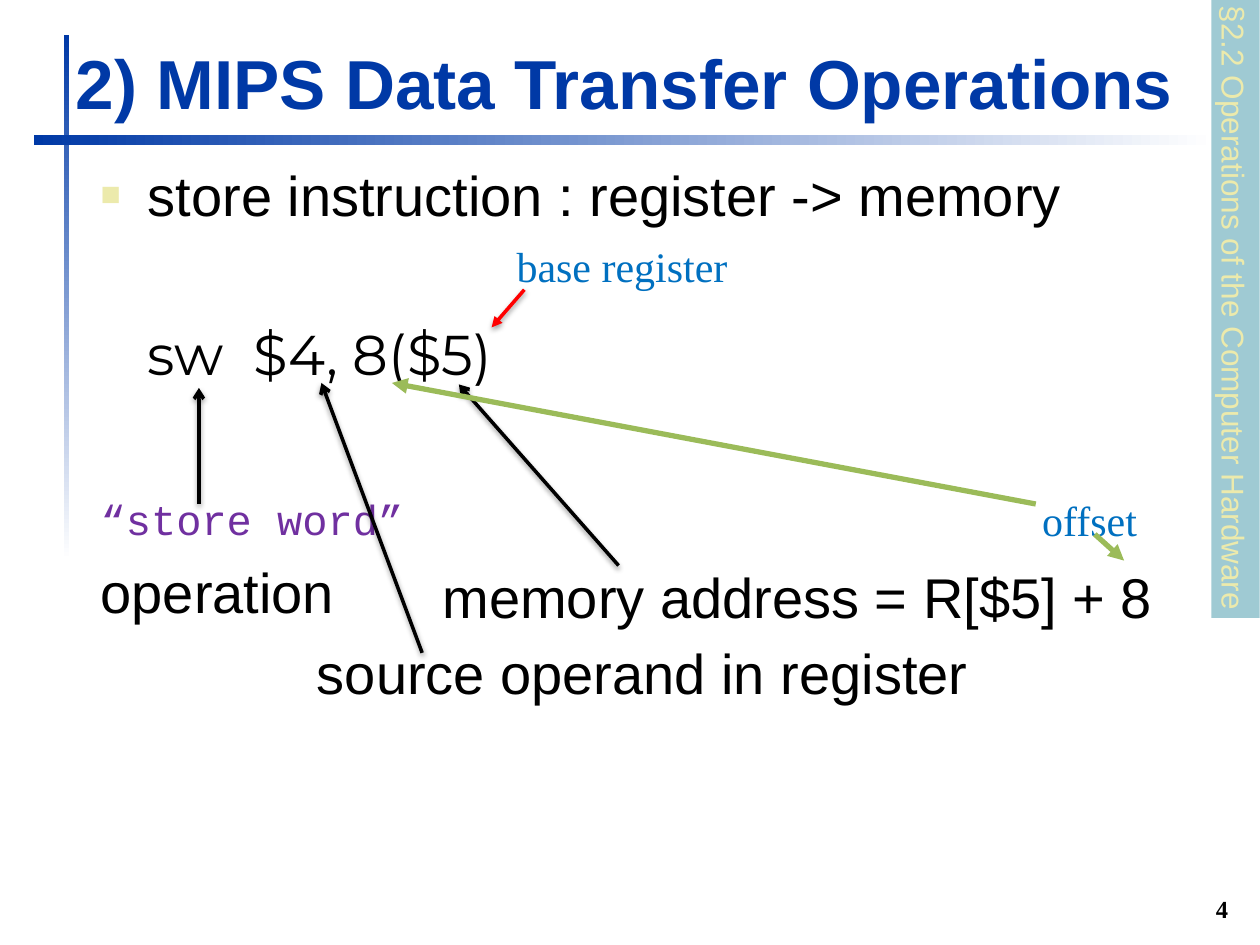
from dataclasses import dataclass

import pptx
import pptx.dml.color
import pptx.enum.shapes
import pptx.enum.text
import pptx.oxml
import pptx.oxml.ns
import pptx.util
from pptx.util import Cm, Pt

ALIGN = pptx.enum.text.PP_ALIGN
ANCHOR = pptx.enum.text.MSO_ANCHOR


@dataclass(frozen=True)
class Theme:
    blue: str = "0039A6"
    sand: str = "ECEAAC"
    teal: str = "9FCAD3"
    purple: str = "7030A0"
    label_blue: str = "0070C0"
    green: str = "9BBB59"
    red: str = "FF0000"
    black: str = "000000"
    white: str = "FFFFFF"
    sans: str = "Arial"
    serif: str = "Times New Roman"
    mono: str = "Courier New"
    code: str = "Montserrat"
    title_size: float = 39.6
    body_size: float = 32
    label_size: float = 24
    section_size: float = 18
    number_size: float = 14


THEME = Theme()
PLAIN = (THEME.sans, THEME.body_size, THEME.black)
CALLOUT = (THEME.serif, THEME.label_size, THEME.label_blue)


def rgb(value):
    return pptx.dml.color.RGBColor.from_string(value)


def add_xml(parent, tag, content="", **attributes):
    """Append one DrawingML element."""
    listed = " ".join(f'{key}="{value}"' for key, value in attributes.items())
    namespace = pptx.oxml.ns.nsdecls("a")
    parent.append(pptx.oxml.parse_xml(
        f"<a:{tag} {namespace} {listed}>{content}</a:{tag}>"))


def style(font, name, size, color, bold=False):
    font.name, font.size, font.bold = name, Pt(size), bold
    font.color.rgb = rgb(color)


def set_frame(frame, wrap=True, anchor=ANCHOR.TOP):
    frame.margin_left = frame.margin_right = Cm(0.13)
    frame.margin_top = frame.margin_bottom = Cm(0.13)
    frame.word_wrap = wrap
    frame.vertical_anchor = anchor
    frame.auto_size = pptx.enum.text.MSO_AUTO_SIZE.NONE


def place(shape, left, top, width, height):
    shape.left, shape.top = Cm(left), Cm(top)
    shape.width, shape.height = Cm(width), Cm(height)


def add_fading_bar(slide, box, angle):
    bar = slide.shapes.add_shape(
        pptx.enum.shapes.MSO_SHAPE.RECTANGLE, *map(Cm, box))
    bar.shadow.inherit = False
    bar.line.fill.background()
    bar.fill.gradient()
    bar.fill.gradient_angle = angle
    for stop, color in zip(bar.fill.gradient_stops, (THEME.white, THEME.blue)):
        stop.color.rgb = rgb(color)


def add_label(slide, box, text, font, align=ALIGN.LEFT, wrap=False,
              anchor=ANCHOR.TOP):
    label = slide.shapes.add_textbox(*map(Cm, box))
    set_frame(label.text_frame, wrap, anchor)
    paragraph = label.text_frame.paragraphs[0]
    paragraph.text = text
    paragraph.alignment = align
    style(paragraph.font, *font)
    return label


def add_arrow(slide, start, end, color, width, head, shadow):
    arrow = slide.shapes.add_connector(
        pptx.enum.shapes.MSO_CONNECTOR.STRAIGHT, *map(Cm, start + end))
    arrow.line.color.rgb = rgb(color)
    arrow.line.width = Pt(width)
    properties = arrow._element.spPr
    add_xml(properties.find(pptx.oxml.ns.qn("a:ln")), "tailEnd", type=head)
    soft_shadow = (
        '<a:outerShdw blurRad="38100" dist="20320" dir="5400000" '
        'rotWithShape="0"><a:srgbClr val="000000"><a:alpha val="38000"/>'
        "</a:srgbClr></a:outerShdw>")
    add_xml(properties, "effectLst", soft_shadow if shadow else "")


def add_line(frame, text, font, before, left=0, bullet=False):
    first = not frame.paragraphs[0].runs
    paragraph = frame.paragraphs[0] if first else frame.add_paragraph()
    paragraph.text = text
    properties = paragraph._p.get_or_add_pPr()
    properties.set("marL", str(Cm(left)))
    properties.set("indent", str(-Cm(left) if bullet else 0))
    if bullet:
        add_xml(properties, "buClr", f'<a:srgbClr val="{THEME.sand}"/>')
        add_xml(properties, "buSzPct", val=60000)
        add_xml(properties, "buChar", char="■")
    else:
        add_xml(properties, "buNone")
    paragraph.alignment = ALIGN.LEFT
    paragraph.space_before = Pt(before)
    paragraph.line_spacing = Pt(39)
    style(paragraph.font, *font)


def fill_title(title):
    place(title, 1.4, 0.51, 22.94, 2.11)
    set_frame(title.text_frame, anchor=ANCHOR.BOTTOM)
    paragraph = title.text_frame.paragraphs[0]
    paragraph.text = "2) MIPS Data Transfer Operations"
    paragraph.alignment = ALIGN.LEFT
    style(paragraph.font, THEME.sans, THEME.title_size, THEME.blue, True)


def fill_body(body):
    place(body, 1.9, 3.08, 22.99, 14.2)
    frame = body.text_frame
    set_frame(frame)
    add_line(frame, "store instruction : register -> memory", PLAIN,
             0, left=0.95, bullet=True)
    add_line(frame, "sw  $4, 8($5)",
             (THEME.code, THEME.body_size, THEME.black), 52, left=0.95)
    add_line(frame, "“store word”",
             (THEME.mono, THEME.label_size, THEME.purple), 51)
    add_line(frame, "operation", PLAIN, 7)
    add_line(frame, "source operand in register", PLAIN, 7, left=4.36)


def main():
    presentation = pptx.Presentation()
    presentation.slide_width, presentation.slide_height = Cm(25.4), Cm(19.05)
    slide = presentation.slides.add_slide(presentation.slide_layouts[1])

    # Crossed rules behind the title
    add_fading_bar(slide, (1.3, 0.71, 0.1, 10.59), 90)
    add_fading_bar(slide, (0.69, 2.72, 23.8, 0.2), 180)

    # Title and instruction breakdown
    fill_title(slide.shapes.title)
    fill_body(slide.placeholders[1])

    # Offset and the address it belongs to
    add_label(slide, (20.88, 9.83, 2.4, 1.27), "offset", CALLOUT)
    add_label(slide, (8.79, 11.21, 14.8, 1.6),
              "memory address = R[$5] + 8", PLAIN)

    # Slide number and section tab
    add_label(slide, (24.33, 17.93, 0.56, 0.81), "4",
              (THEME.serif, THEME.number_size, THEME.black, True),
              ALIGN.RIGHT, anchor=ANCHOR.BOTTOM)
    section = add_label(slide, (18.67, 5.74, 12.47, 0.97),
                        "§2.2 Operations of the Computer Hardware",
                        (THEME.sans, THEME.section_size, THEME.sand))
    section.rotation = 90
    section.fill.solid()
    section.fill.fore_color.rgb = rgb(THEME.teal)

    # Arrows from each explanation to its operand
    for start, end in (
        ((4.01, 10.16), (4.01, 7.82)),   # operation
        ((12.47, 11.4), (9.25, 7.75)),   # memory address
        ((8.51, 13.16), (6.48, 7.72)),   # source operand
    ):
        add_arrow(slide, start, end, THEME.black, 2, "arrow", True)
    for start, end in (
        ((22.07, 10.77), (22.66, 11.3)),  # offset to sum
        ((20.88, 10.16), (7.9, 7.72)),    # offset to code
    ):
        add_arrow(slide, start, end, THEME.green, 3, "triangle", False)

    # Base register callout
    add_label(slide, (10.24, 4.72, 4.6, 1.27), "base register", CALLOUT,
              ALIGN.CENTER, wrap=True)
    add_arrow(slide, (10.57, 5.84), (9.91, 6.6), THEME.red, 2, "triangle", True)

    presentation.save("out.pptx")


if __name__ == "__main__":
    main()
